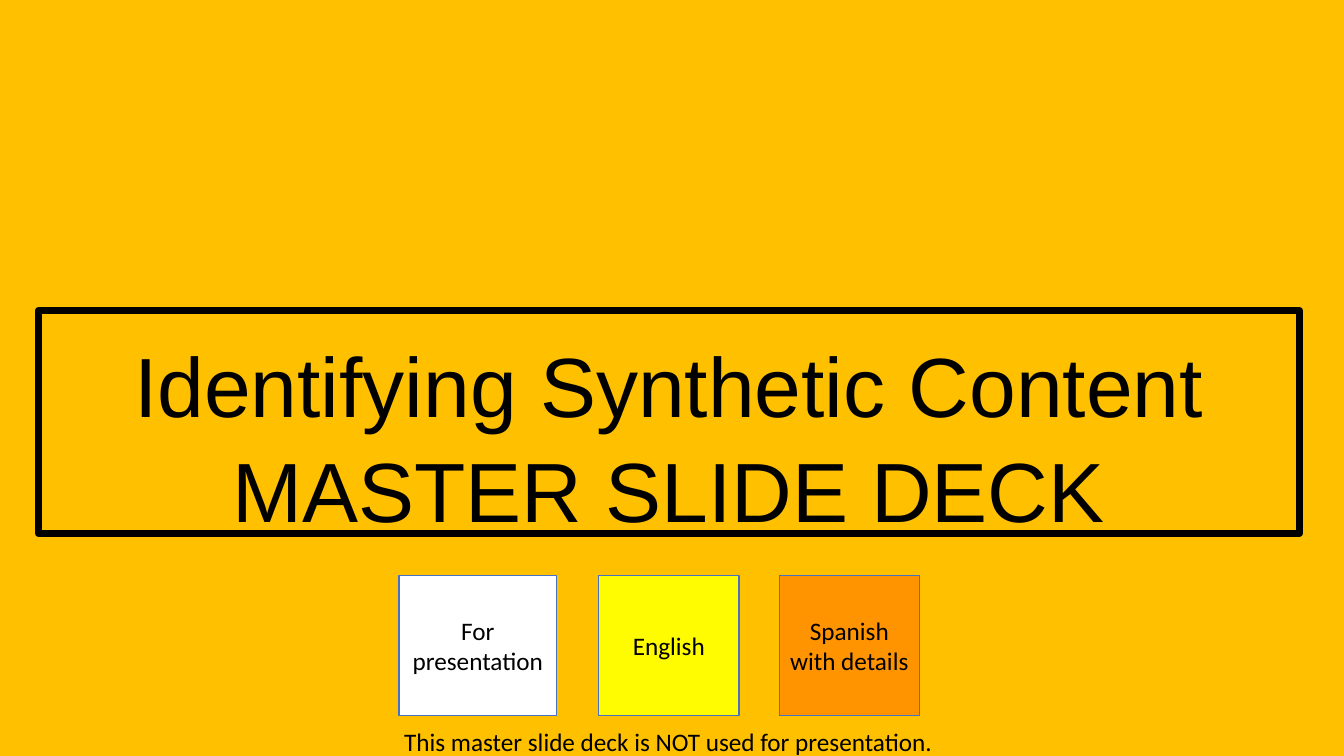
from pptx import Presentation
from pptx.dml.color import RGBColor
from pptx.enum.shapes import MSO_SHAPE as Shape
from pptx.enum.text import MSO_ANCHOR as Anchor, MSO_AUTO_SIZE as AutoSize, PP_ALIGN as Align
from pptx.util import Inches, Pt

AMBER = RGBColor(0xFF, 0xC0, 0x00)
BLACK = RGBColor(0x00, 0x00, 0x00)
BLUE = RGBColor(0x44, 0x72, 0xC4)
WHITE = RGBColor(0xFF, 0xFF, 0xFF)
YELLOW = RGBColor(0xFF, 0xFB, 0x00)
ORANGE = RGBColor(0xFF, 0x93, 0x00)

HEADLINE = ["Identifying Synthetic Content", "MASTER SLIDE DECK"]
FOOTNOTE = "This master slide deck is NOT used for presentation."
# Label, fill, left and width in percent of the slide width
DECK_KEY = [
    ("For presentation", WHITE, 29.7, 11.7),
    ("English", YELLOW, 44.55, 10.43),
    ("Spanish with details", ORANGE, 57.98, 10.43),
]
KEY_TOP, KEY_HEIGHT = 76.13, 18.53


class Cover:
    """Draws on one slide; positions are percentages of its size."""

    def __init__(self, deck):
        self.deck = deck
        self.slide = deck.slides.add_slide(deck.slide_layouts[5])
        background = self.slide.background.fill
        background.solid()
        background.fore_color.rgb = AMBER

    def area(self, left, top, width, height):
        column, row = self.deck.slide_width / 100, self.deck.slide_height / 100
        return (round(left * column), round(top * row),
                round(width * column), round(height * row))

    def fill_text(self, frame, lines, size, font, align, insets, anchor, wrap=True):
        """Fill a frame, one paragraph per line; insets run left, top, right, bottom."""
        frame.auto_size = AutoSize.NONE
        frame.word_wrap = wrap
        frame.vertical_anchor = anchor
        (frame.margin_left, frame.margin_top,
         frame.margin_right, frame.margin_bottom) = map(Inches, insets)
        for index, line in enumerate(lines):
            paragraph = frame.add_paragraph() if index else frame.paragraphs[0]
            paragraph.alignment = align
            run = paragraph.add_run()
            run.text = line
            run.font.size = Pt(size)
            run.font.name = font
            run.font.color.rgb = BLACK

    def headline(self, lines, *place):
        title = self.slide.shapes.title
        title.left, title.top, title.width, title.height = self.area(*place)
        title.line.color.rgb = BLACK
        title.line.width = Pt(5)
        self.fill_text(title.text_frame, lines, 60, "Arial", Align.CENTER,
                       (0.1, 0.34, 0.1, 0.05), Anchor.TOP)
        for index, paragraph in enumerate(title.text_frame.paragraphs):
            paragraph.line_spacing = 0.9
            paragraph.space_before = Pt(10 if index else 0)

    def card(self, label, fill, *place):
        card = self.slide.shapes.add_shape(Shape.RECTANGLE, *self.area(*place))
        card.shadow.inherit = False
        card.fill.solid()
        card.fill.fore_color.rgb = fill
        card.line.color.rgb = BLUE
        card.line.width = Pt(1)
        self.fill_text(card.text_frame, [label], 18, "Calibri", Align.CENTER,
                       [0.05] * 4, Anchor.MIDDLE)

    def note(self, text, *place):
        note = self.slide.shapes.add_textbox(*self.area(*place))
        self.fill_text(note.text_frame, [text], 18, "Calibri", Align.LEFT,
                       [0.05] * 4, Anchor.TOP, wrap=False)


def main():
    deck = Presentation()
    deck.slide_width, deck.slide_height = Inches(13.33), Inches(7.5)
    cover = Cover(deck)
    cover.headline(HEADLINE, 2.85, 41.07, 93.83, 29.47)
    for label, fill, left, width in DECK_KEY:
        cover.card(label, fill, left, KEY_TOP, width, KEY_HEIGHT)
    cover.note(FOOTNOTE, 29.7, 95.47, 40.58, 4.8)
    deck.save("out.pptx")


if __name__ == "__main__":
    main()
